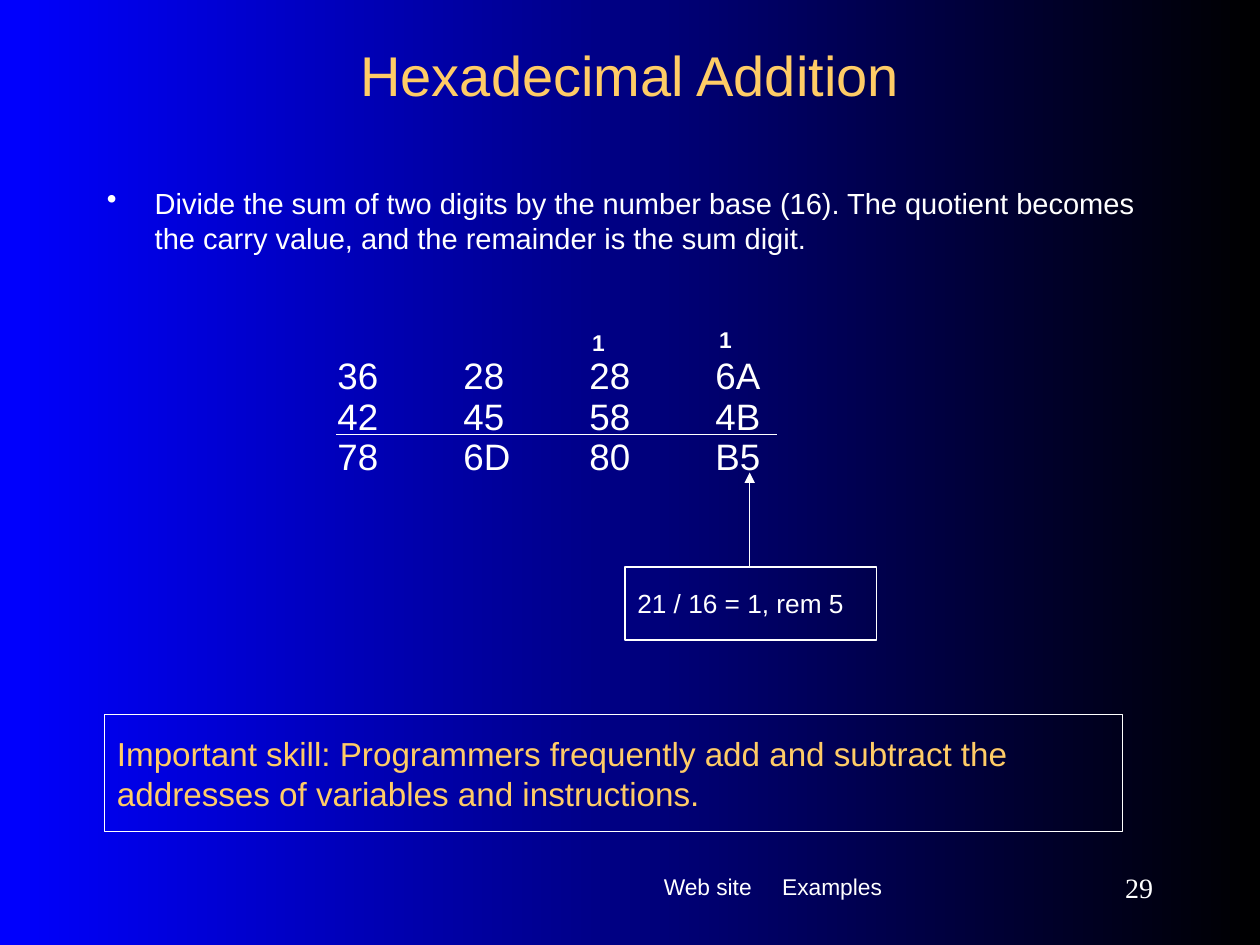
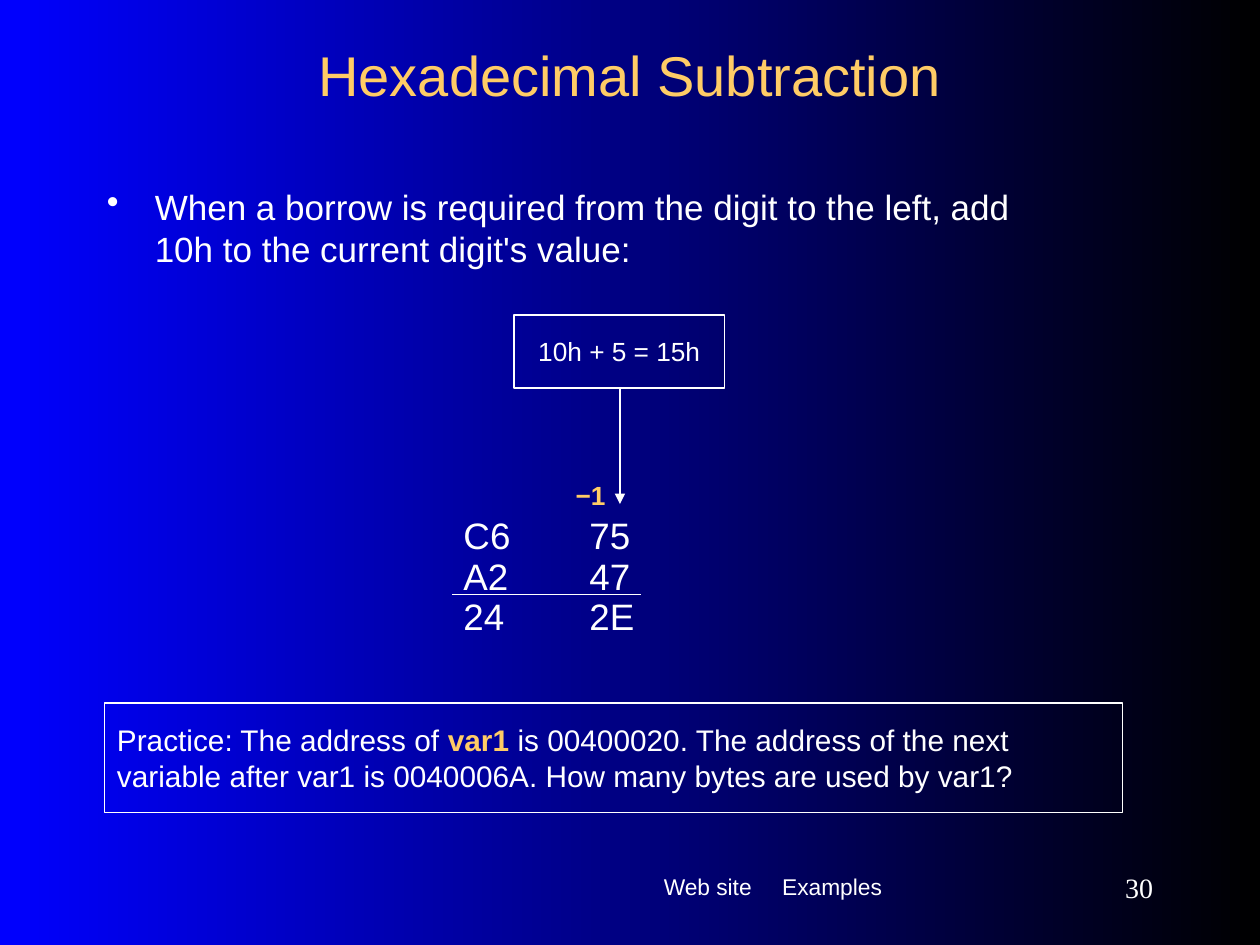
from dataclasses import dataclass

from lxml.etree import SubElement
from pptx import Presentation
from pptx.dml.color import RGBColor
from pptx.enum.shapes import MSO_CONNECTOR as Connector, MSO_SHAPE as Shape
from pptx.enum.text import MSO_ANCHOR as Anchor, MSO_AUTO_SIZE as AutoSize, PP_ALIGN as Align
from pptx.oxml.ns import qn
from pptx.util import Inches, Pt


@dataclass(frozen=True)
class Theme:
    white: RGBColor = RGBColor(0xFF, 0xFF, 0xFF)
    gold: RGBColor = RGBColor(0xFF, 0xCC, 0x66)
    black: RGBColor = RGBColor(0, 0, 0)
    blue: RGBColor = RGBColor(0, 0, 0xFF)
    sans: str = "Arial"
    serif: str = "Times New Roman"
    title: float = 32
    digits: float = 21
    callout: float = 15
    footer: float = 13
    number: float = 16
    rule: float = 0.75


theme = Theme()


def add_text(slide, place, lines, size, color=theme.white, font=theme.sans, bold=False,
             align=Align.LEFT, anchor=Anchor.TOP, pad=0.15, framed=False,
             tabs=(), bullet=False, spacing=1.0, gap=0):
    area = [Inches(length) for length in place]
    if framed:
        box = slide.shapes.add_shape(Shape.RECTANGLE, *area)
        box.shadow.inherit = False
        box.fill.background()
        box.line.color.rgb = theme.white
        box.line.width = Pt(theme.rule)
    else:
        box = slide.shapes.add_textbox(*area)
    frame = box.text_frame
    frame.word_wrap = True
    frame.auto_size = AutoSize.SHAPE_TO_FIT_TEXT if pad == 0.15 else AutoSize.NONE
    frame.vertical_anchor = anchor
    frame.margin_left = frame.margin_right = Inches(0.1)
    frame.margin_top = frame.margin_bottom = Inches(pad)
    for index, line in enumerate(lines):
        paragraph = frame.add_paragraph() if index else frame.paragraphs[0]
        properties = paragraph._p.get_or_add_pPr()
        if bullet:
            properties.set("marL", str(Inches(0.38)))
            properties.set("indent", str(-Inches(0.38)))
            SubElement(properties, qn("a:buChar"), char="•")
        if tabs:
            stops = SubElement(properties, qn("a:tabLst"))
            for stop in tabs:
                SubElement(stops, qn("a:tab"), pos=str(Inches(stop)), algn="l")
        paragraph.alignment = align
        paragraph.line_spacing = spacing
        if index:
            paragraph.space_before = Pt(gap)
        for part, emphasis in line if isinstance(line, list) else [(line, False)]:
            run = paragraph.add_run()
            run.text = part
            if emphasis:
                run.font.bold = True
                run.font.color.rgb = theme.gold
        paragraph.font.name = font
        paragraph.font.size = Pt(size)
        paragraph.font.bold = bold
        paragraph.font.color.rgb = color


def add_line(slide, start, end, arrow=False):
    line = slide.shapes.add_connector(
        Connector.STRAIGHT, *[Inches(length) for length in (*start, *end)])
    line.line.color.rgb = theme.white
    line.line.width = Pt(theme.rule)
    if arrow:
        SubElement(line.line._get_or_add_ln(), qn("a:tailEnd"), type="triangle")
    SubElement(line._element.spPr, qn("a:effectLst"))


lessons = [
    dict(
        title="Hexadecimal Addition", number="29",
        rule_text="Divide the sum of two digits by the number base (16). The quotient becomes "
                  "the carry value, and the remainder is the sum digit.",
        rule_place=(0.75, 1.42, 8.5, 0.67), rule_size=16.6,
        sums=["36\t28\t28\t6A", "42\t45\t58\t4B", "78\t6D\t80\tB5"],
        sums_place=(2.58, 2.83, 4.25, 1.09), sum_line=((2.67, 3.45), (6.17, 3.45)),
        carries=[("1", (5.61, 2.48, 0.31, 0.52)), ("1", (4.6, 2.5, 0.31, 0.52))],
        carry_size=theme.footer, carry_color=theme.white,
        arrow=((5.95, 4.5), (5.95, 3.75)),
        callout="21 / 16 = 1, rem 5", callout_place=(4.96, 4.5, 2, 0.58),
        callout_align=Align.LEFT,
        note="Important skill: Programmers frequently add and subtract the addresses of "
             "variables and instructions.",
        note_place=(0.83, 5.67, 8.08, 0.93), note_size=19, note_color=theme.gold,
    ),
    dict(
        title="Hexadecimal Subtraction", number="30",
        rule_text="When a borrow is required from the digit to the left, add 10h to the "
                  "current digit's value:",
        rule_place=(0.75, 1.42, 7.75, 0.83), rule_size=20,
        sums=["C6\t75", "A2\t47", "24\t2E"],
        sums_place=(3.58, 4.1, 1.92, 1.09), sum_line=((3.59, 4.72), (5.09, 4.72)),
        carries=[("−1", (4.47, 3.68, 0.58, 0.55))],
        carry_size=theme.callout, carry_color=theme.gold,
        arrow=((4.92, 3.08), (4.92, 4)),
        callout="10h + 5 = 15h", callout_place=(4.08, 2.5, 1.67, 0.58),
        callout_align=Align.CENTER,
        note=[("Practice: The address of ", False), ("var1", True),
              (" is 00400020. The address of the next variable after var1 is 0040006A. "
               "How many bytes are used by var1?", False)],
        note_place=(0.83, 5.58, 8.08, 0.87), note_size=17, note_color=theme.white,
    ),
]

deck = Presentation()
deck.slide_width, deck.slide_height = Inches(10), Inches(7.5)

for lesson in lessons:
    slide = deck.slides.add_slide(deck.slide_layouts[6])
    backdrop = slide.background.fill
    backdrop.gradient()
    backdrop.gradient_angle = 180
    for stop, color in zip(backdrop.gradient_stops, (theme.black, theme.blue)):
        stop.color.rgb = color

    add_text(slide, (5.17, 6.82, 3, 0.52), ["Web site\tExamples"], theme.footer, tabs=[0.94])
    add_text(slide, (0.75, 0.25, 8.5, 0.67), [lesson["title"]], theme.title, theme.gold,
             align=Align.CENTER, anchor=Anchor.MIDDLE, pad=0.05)
    add_text(slide, lesson["rule_place"], [lesson["rule_text"]], lesson["rule_size"],
             pad=0.05, bullet=True)
    add_text(slide, lesson["sums_place"], lesson["sums"], theme.digits,
             tabs=[1, 2, 3], spacing=0.4, gap=13.1)
    add_line(slide, *lesson["sum_line"])
    for carry, place in lesson["carries"]:
        add_text(slide, place, [carry], lesson["carry_size"], lesson["carry_color"], bold=True)
    add_line(slide, *lesson["arrow"], arrow=True)
    add_text(slide, lesson["callout_place"], [lesson["callout"]], theme.callout,
             align=lesson["callout_align"], framed=True, spacing=1.1)
    add_text(slide, lesson["note_place"], [lesson["note"]], lesson["note_size"],
             lesson["note_color"], framed=True)
    add_text(slide, (8.17, 6.83, 1.08, 0.42), [lesson["number"]], theme.number,
             font=theme.serif, align=Align.RIGHT, anchor=Anchor.MIDDLE, pad=0.05)

deck.save("out.pptx")
